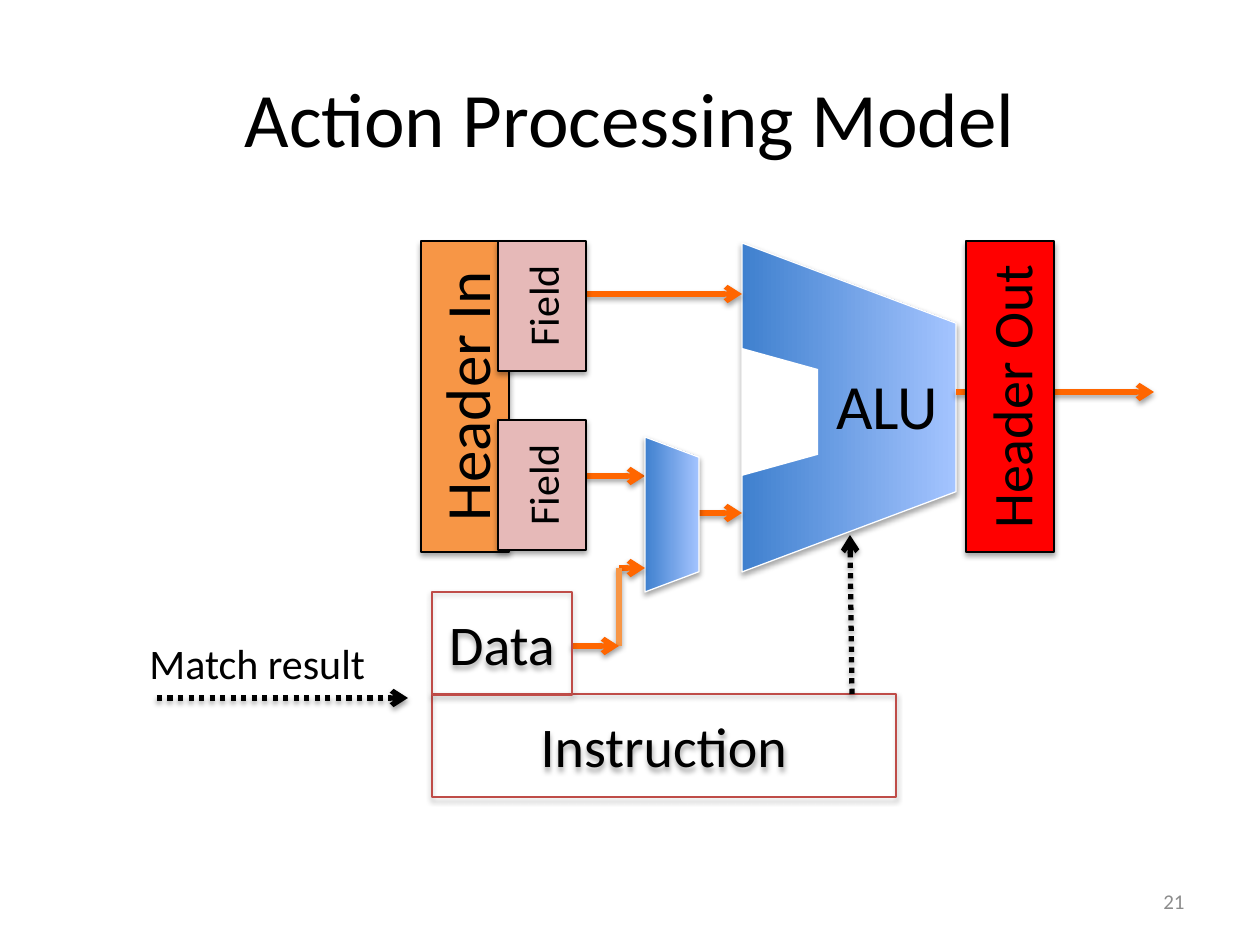
from lxml import etree
from pptx import Presentation
from pptx.dml.color import RGBColor
from pptx.enum.dml import MSO_LINE
from pptx.enum.shapes import MSO_CONNECTOR, MSO_SHAPE
from pptx.enum.text import MSO_ANCHOR, PP_ALIGN
from pptx.oxml import parse_xml
from pptx.oxml.ns import nsdecls, qn
from pptx.util import Emu, Pt

RECTANGLE, TRAPEZOID = MSO_SHAPE.RECTANGLE, MSO_SHAPE.TRAPEZOID
STRAIGHT, DOTTED = MSO_CONNECTOR.STRAIGHT, MSO_LINE.ROUND_DOT
CENTER, LEFT, RIGHT = PP_ALIGN.CENTER, PP_ALIGN.LEFT, PP_ALIGN.RIGHT
TOP, MIDDLE = MSO_ANCHOR.TOP, MSO_ANCHOR.MIDDLE
SCALE = 914400 / 126
FONT = "Calibri"
COLORS = {
    "black": "000000", "white": "FFFFFF", "gray": "8C8C8C",
    "flow": "FF6600", "orange": "F79646", "pink": "E6B9B8", "red": "FF0000",
    "outline": "BF4C48", "blue_dark": "3F80CE", "blue_light": "A4C4FF",
}


def px(length):
    """Turn pixels into EMU."""
    return Emu(round(length * SCALE))


def color(name):
    """Look up a named colour."""
    return RGBColor.from_string(COLORS[name])


def write(shape, text, size, align=CENTER, anchor=MIDDLE, wrap=True, ink="black"):
    """Put one formatted line of text into a shape."""
    frame = shape.text_frame
    frame.text = text
    frame.word_wrap = wrap
    frame.vertical_anchor = anchor
    para = frame.paragraphs[0]
    para.alignment = align
    span = para.runs[0]
    span.font.size = Pt(size)
    span.font.name = FONT
    span.font.color.rgb = color(ink)


def add_shadow(shape, alpha, distance):
    """Give a shape or connector a soft shadow straight below it."""
    shape._element.spPr.append(parse_xml(
        f'<a:effectLst {nsdecls("a")}><a:outerShdw blurRad="40000" dist="{distance}" '
        f'dir="5400000" rotWithShape="0"><a:srgbClr val="{COLORS["black"]}">'
        f'<a:alpha val="{alpha}000"/></a:srgbClr></a:outerShdw></a:effectLst>'))


def add_turned(page, kind, left, top, width, height, rotation):
    """Add a shape that fills the given visible box after a quarter turn."""
    shift = (width - height) / 2
    shape = page.shapes.add_shape(
        kind, px(left + shift), px(top - shift), px(height), px(width))
    shape.rotation = rotation
    return shape


def outline(shape, name):
    """Draw a thin outline and a shadow."""
    shape.line.color.rgb = color(name)
    shape.line.width = Pt(0.75)
    add_shadow(shape, 35, 23000)


def add_block(page, left, top, width, height, text, size, fill):
    """Add a filled block whose text reads upwards."""
    block = add_turned(page, RECTANGLE, left, top, width, height, 270)
    block.fill.solid()
    block.fill.fore_color.rgb = color(fill)
    outline(block, "black")
    write(block, text, size)


def add_unit(page, left, top, width, height):
    """Add a blue trapezoid that narrows to the right."""
    unit = add_turned(page, TRAPEZOID, left, top, width, height, 90)
    unit.adjustments[0] = 0.375
    unit.fill.gradient()
    unit.fill.gradient_angle = 90
    for stop, name in zip(unit.fill.gradient_stops, ("blue_dark", "blue_light")):
        stop.color.rgb = color(name)
    outline(unit, "white")


def add_frame(page, left, top, width, height, text):
    """Add an unfilled box with a caption."""
    frame = page.shapes.add_shape(RECTANGLE, px(left), px(top), px(width), px(height))
    frame.fill.background()
    outline(frame, "outline")
    write(frame, text, 32)


def add_label(page, left, top, width, height, text, size, **style):
    """Add a plain text box."""
    label = page.shapes.add_textbox(px(left), px(top), px(width), px(height))
    write(label, text, size, **style)


def add_line(page, x1, y1, x2, y2, name="flow", dash=None, arrow=True):
    """Add a thick line, with an open arrowhead unless told otherwise."""
    line = page.shapes.add_connector(STRAIGHT, px(x1), px(y1), px(x2), px(y2))
    line.line.color.rgb = color(name)
    line.line.width = Pt(3)
    if dash:
        line.line.dash_style = dash
    if arrow:
        etree.SubElement(line.line._get_or_add_ln(), qn("a:tailEnd"), type="arrow")
    add_shadow(line, 38, 20000)


def draw_alu(page, left, top):
    """Draw the arithmetic unit with its notch and its flows."""
    add_line(page, left - 233, top + 233, left - 97, top + 233)
    add_unit(page, left, top, 214, 329)
    notch = add_turned(page, TRAPEZOID, left, top + 105, 76, 128, 90)
    notch.adjustments[0] = 0.277
    notch.fill.solid()
    notch.fill.fore_color.rgb = color("white")
    notch.line.fill.background()
    notch.shadow.inherit = False
    for start, end, height in ((-233, 0, 51), (-43, 0, 270), (214, 412, 149)):
        add_line(page, left + start, top + height, left + end, top + height)
    add_label(page, left + 82, top + 117, 130, 89, "ALU", 36,
              align=LEFT, anchor=TOP, wrap=False)


def draw_control(page, left, top):
    """Draw the instruction box with the dotted control flows."""
    add_frame(page, left, top, 464, 103, "Instruction")
    add_line(page, left + 420, top, left + 418, top - 159, "black", DOTTED)
    add_line(page, left - 275, top + 4, left - 24, top + 4, "black", DOTTED)
    add_label(page, left - 295, top - 63, 244, 63, "Match result", 24,
              align=LEFT, anchor=TOP, wrap=False)


def draw_headers(page, left, top):
    """Draw the incoming and outgoing headers and the two fields."""
    add_block(page, left, top, 88, 311, "Header In", 36, "orange")
    add_block(page, left + 545, top, 88, 311, "Header Out", 32, "red")
    for offset in (0, 179):
        add_block(page, left + 77, top + offset, 88, 130, "Field", 24, "pink")


def draw_selector(page, left, top):
    """Draw the operand selector and the data that feeds it."""
    add_unit(page, left, top, 54, 155)
    bend, upper, lower = left - 26, top + 131, top + 209
    add_line(page, bend, upper, left, upper)
    add_line(page, bend, upper, bend, lower, "orange", arrow=False)
    add_line(page, left - 73, lower, bend, lower)
    add_frame(page, left - 213, top + 155, 140, 103, "Data")


def main():
    """Build the slide and save it."""
    deck = Presentation()
    deck.slide_width, deck.slide_height = px(1260), px(945)
    page = deck.slides.add_slide(deck.slide_layouts[5])
    title = page.shapes.title
    title.left, title.top, title.width, title.height = map(px, (63, 38, 1134, 157))
    write(title, "Action Processing Model", 44)
    draw_alu(page, 742, 243)
    draw_control(page, 432, 694)
    draw_headers(page, 421, 241)
    draw_selector(page, 645, 437)
    add_label(page, 903, 876, 294, 50, "21", 12, align=RIGHT, ink="gray")
    deck.save("out.pptx")


main()
